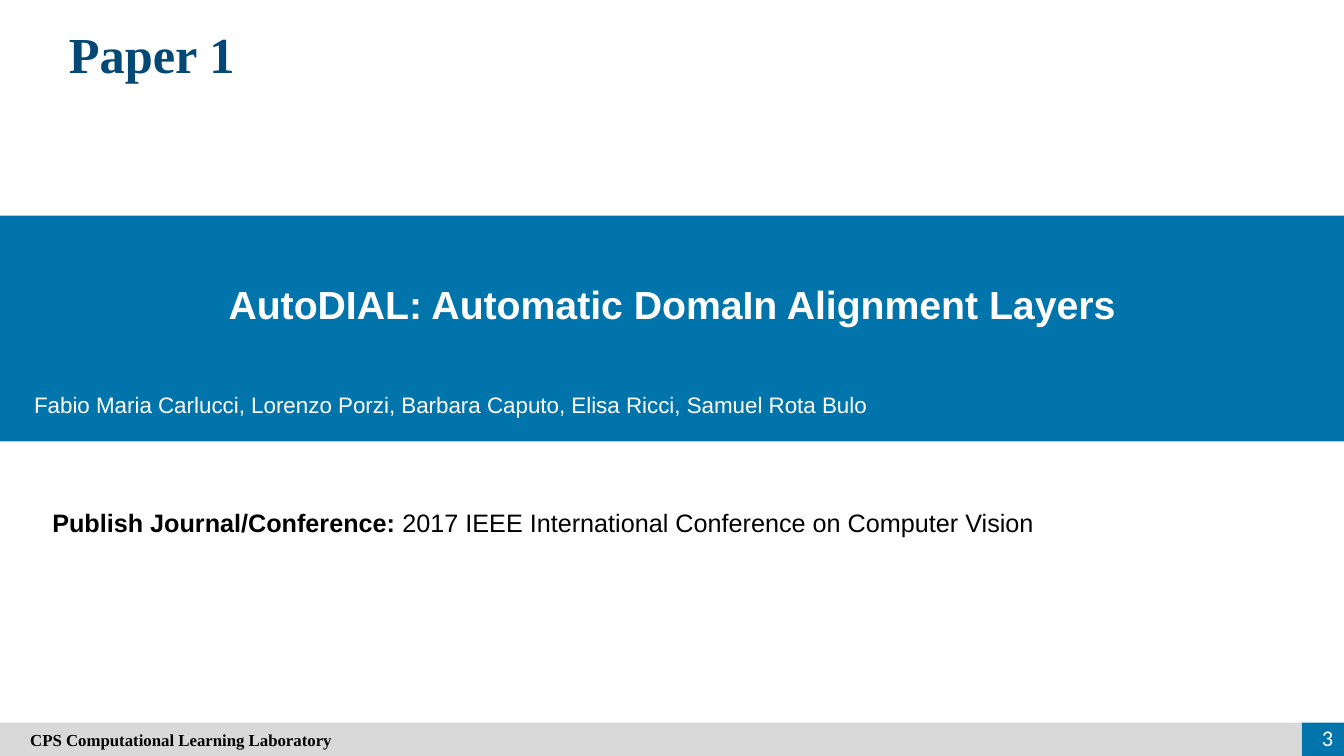
"""Build the title slide for the first paper."""
from pptx import Presentation
from pptx.dml.color import RGBColor
from pptx.enum.shapes import MSO_SHAPE
from pptx.enum.text import MSO_ANCHOR, PP_ALIGN
from pptx.util import Inches, Pt

BLUE = RGBColor(0x01, 0x74, 0xAB)
NAVY = RGBColor(0x04, 0x48, 0x75)
GREY = RGBColor(0xD9, 0xD9, 0xD9)
WHITE = RGBColor(0xFF, 0xFF, 0xFF)
BLACK = RGBColor(0x00, 0x00, 0x00)

HEADING = [("Paper 1", True)]
TITLE = [("AutoDIAL: Automatic DomaIn Alignment Layers", True)]
AUTHORS = [("Fabio Maria Carlucci, Lorenzo Porzi, Barbara Caputo, Elisa Ricci, Samuel Rota Bulo", False)]
VENUE = [
    ("Publish Journal/Conference:", True),
    (" 2017 IEEE International Conference on Computer Vision", False),
]
LABORATORY = [("CPS Computational Learning Laboratory", True)]
PAGE_NUMBER = [("3", False)]

WIDTH, HEIGHT = Inches(13.33), Inches(7.5)
FOOTER_TOP, FOOTER_SPLIT = 95.6, 96.85
FOOTER_HEIGHT = 100 - FOOTER_TOP

deck = Presentation()
deck.slide_width, deck.slide_height = WIDTH, HEIGHT
page = deck.slides.add_slide(deck.slide_layouts[6])


def place(left, top, width, height):
    """Turn percentages of the slide into lengths."""
    return (int(WIDTH * left / 100), int(HEIGHT * top / 100),
            int(WIDTH * width / 100), int(HEIGHT * height / 100))


def add_block(area, color):
    """Add a plain filled rectangle."""
    block = page.shapes.add_shape(MSO_SHAPE.RECTANGLE, *place(*area))
    block.shadow.inherit = False
    block.fill.solid()
    block.fill.fore_color.rgb = color
    block.line.fill.background()
    return block


def write(spans, area=None, box=None, size=16, font="Arial", color=WHITE,
          align=PP_ALIGN.LEFT, anchor=MSO_ANCHOR.TOP, spacing=None, indent=0.1):
    """Write spans of text into a given box or a new one."""
    box = box or page.shapes.add_textbox(*place(*area))
    frame = box.text_frame
    frame.word_wrap = True
    frame.vertical_anchor = anchor
    frame.margin_left = Inches(indent)
    para = frame.paragraphs[0]
    para.alignment = align
    if spacing:
        para.line_spacing = spacing
    for text, bold in spans:
        span = para.add_run()
        span.text = text
        span.font.name = font
        span.font.size = Pt(size)
        span.font.bold = bold
        span.font.color.rgb = color


add_block((0, 28.53, 100, 29.87), BLUE)
write(TITLE, (0, 33.87, 100, 9.6), size=28, align=PP_ALIGN.CENTER,
      anchor=MSO_ANCHOR.MIDDLE, spacing=1.5)
write(AUTHORS, (1.8, 51.07, 96, 4.93))
write(VENUE, (3.15, 66.4, 79.9, 5.33), size=18, color=BLACK)
write(HEADING, (2.85, 2.4, 16.88, 9.47), size=36, font="Times New Roman",
      color=NAVY, align=PP_ALIGN.CENTER)

add_block((FOOTER_SPLIT, FOOTER_TOP, 100 - FOOTER_SPLIT, FOOTER_HEIGHT), BLUE)
footer = add_block((0, FOOTER_TOP, FOOTER_SPLIT, FOOTER_HEIGHT), GREY)
write(LABORATORY, box=footer, size=12, font="Times New Roman", color=BLACK,
      anchor=MSO_ANCHOR.MIDDLE, indent=0.3)
write(PAGE_NUMBER, (95.2, 95.07, 4.73, 4.93), font="Calibri",
      align=PP_ALIGN.RIGHT, anchor=MSO_ANCHOR.MIDDLE)

deck.save("out.pptx")
